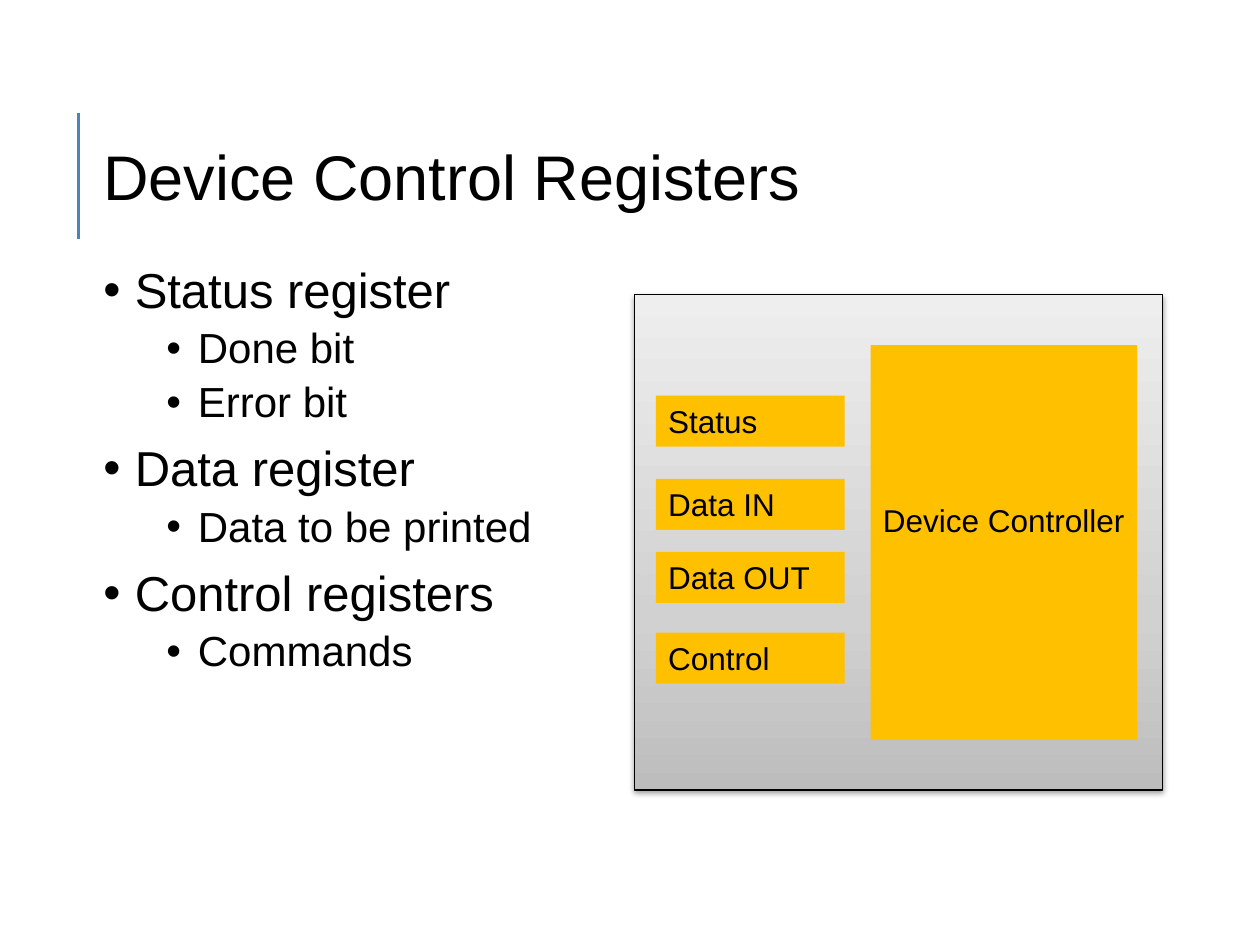
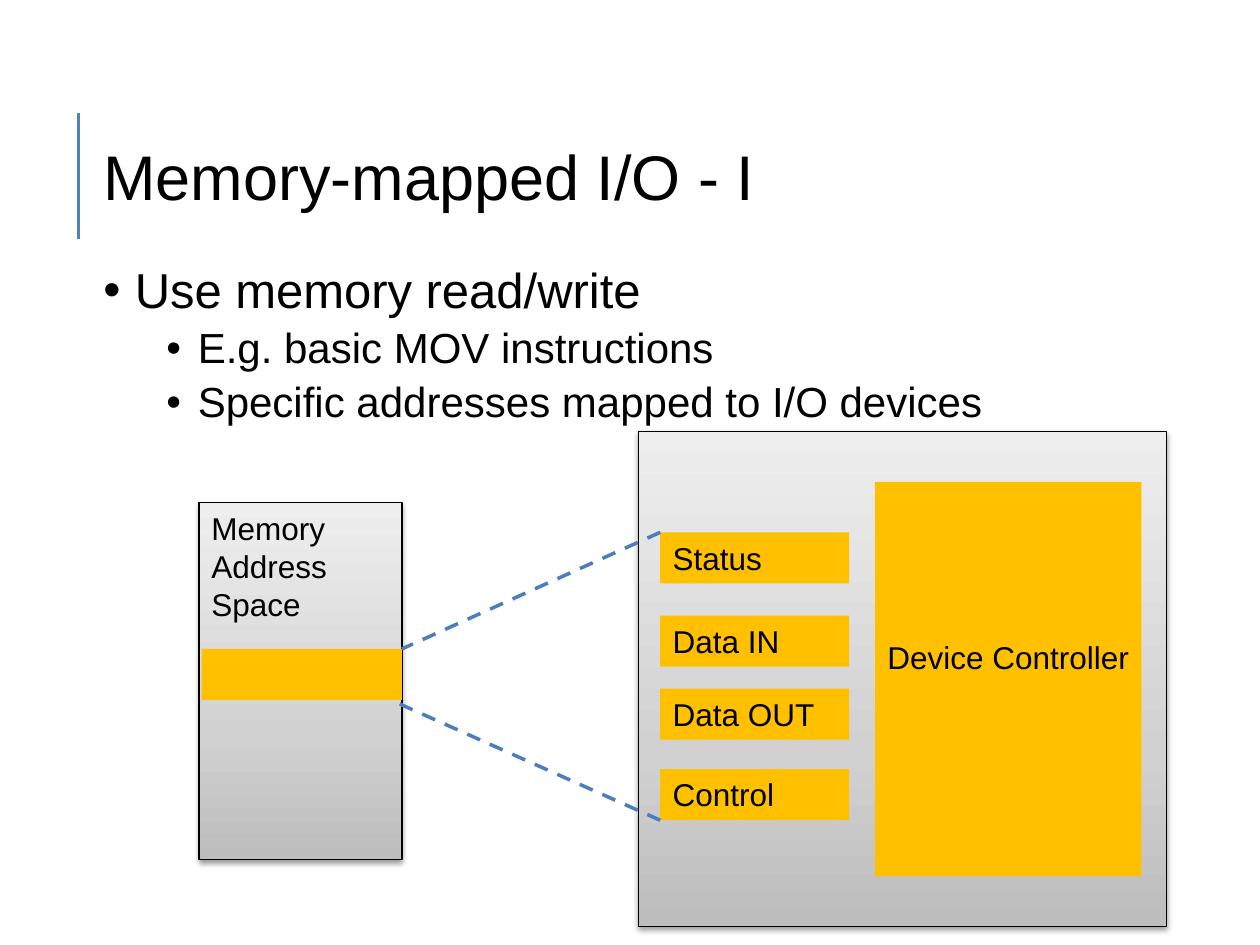
from copy import deepcopy

from lxml import etree
from pptx import Presentation
from pptx.dml.color import RGBColor
from pptx.enum.dml import MSO_LINE
from pptx.enum.shapes import MSO_CONNECTOR, MSO_SHAPE
from pptx.enum.text import MSO_ANCHOR, PP_ALIGN
from pptx.oxml.ns import qn
from pptx.util import Inches, Pt

RECT, STRAIGHT = MSO_SHAPE.RECTANGLE, MSO_CONNECTOR.STRAIGHT
TOP, MIDDLE, LEFT = MSO_ANCHOR.TOP, MSO_ANCHOR.MIDDLE, PP_ALIGN.LEFT
DASH = MSO_LINE.DASH
COLS, ROWS, CELL = 100, 75, 0.1
FONT, BLACK, ORANGE, RULE, LINK = "Arial", "000000", "FFC000", "4F81BD", "4B7EBC"
GREYS = [(0, "BDBDBD"), (0.35, "D1D1D1"), (1, "EEEEEE")]
LEVELS = [{"size": 28, "indent": 2.5, "before": 10},
          {"size": 24, "indent": 7.5, "before": 5}]
HANG = 2.5
TITLE = (8.2, 11.8, 91.8, 5)
REGISTERS = [("Status", 8), ("Data IN", 14.6), ("Data OUT", 20.4), ("Control", 26.8)]
REG_LEFT, REG_W, REG_H = 1.7, 15, 4.05
PANEL_W, PANEL_H = 41.9, 39.3


def color(value):
    """Turn a hex string into a colour."""
    return RGBColor.from_string(value)


def grid(*cells):
    """Turn grid cells into slide lengths."""
    return [Inches(c * CELL) for c in cells]


def set_frame(tf, anchor=TOP, margins=(1, 0.5, 1, 0.5)):
    """Set wrapping, anchor and margins of a text frame."""
    left, top, right, bottom = grid(*margins)
    values = {"word_wrap": True, "vertical_anchor": anchor, "margin_left": left,
              "margin_top": top, "margin_right": right, "margin_bottom": bottom}
    for name, value in values.items():
        setattr(tf, name, value)


def write(p, text, size):
    """Write one run in the deck's font."""
    p.alignment = LEFT
    r = p.add_run()
    r.text = text
    for name, value in {"name": FONT, "size": Pt(size)}.items():
        setattr(r.font, name, value)
    r.font.color.rgb = color(BLACK)


def add_line(slide, start, end, hex_color, width, dash=None):
    """Draw a straight line between two grid points."""
    line = slide.shapes.add_connector(STRAIGHT, *grid(*start, *end))
    line.line.color.rgb = color(hex_color)
    line.line.width = Pt(width)
    if dash:
        line.line.dash_style = dash
    etree.SubElement(line._element.spPr, qn("a:effectLst"))


def add_block(slide, box, text="", margins=(1, 0.5, 1, 0.5)):
    """Draw a flat orange block with an optional label."""
    sp = slide.shapes.add_shape(RECT, *grid(*box))
    sp.fill.solid()
    sp.fill.fore_color.rgb = color(ORANGE)
    sp.line.fill.background()
    sp.shadow.inherit = False
    if text:
        set_frame(sp.text_frame, margins=margins)
        write(sp.text_frame.paragraphs[0], text, 18)


def add_grey_box(slide, box, text=""):
    """Draw an outlined grey gradient box with a soft shadow."""
    sp = slide.shapes.add_shape(RECT, *grid(*box))
    sp.fill.gradient()
    sp.fill.gradient_angle = 90
    stops = next(sp._element.spPr.iter(qn("a:gsLst")))
    stops.append(deepcopy(stops[0]))
    for stop, (position, hex_color) in zip(sp.fill.gradient_stops, GREYS):
        stop.position = position
        stop.color.rgb = color(hex_color)
    sp.line.color.rgb = color(BLACK)
    sp.line.width = Pt(0.75)
    sp.shadow.inherit = False
    effects = sp._element.spPr.find(qn("a:effectLst"))
    shadow = etree.SubElement(effects, qn("a:outerShdw"), blurRad=str(Pt(3.1)),
                              dist=str(Pt(1.6)), dir="5400000", rotWithShape="0")
    tint = etree.SubElement(shadow, qn("a:srgbClr"), val=BLACK)
    etree.SubElement(tint, qn("a:alpha"), val="38000")
    if text:
        set_frame(sp.text_frame)
        write(sp.text_frame.paragraphs[0], text, 18)


def add_title(slide, text):
    """Place the title and the rule at its left."""
    add_line(slide, (6.23, 19), (6.23, 9), RULE, 1.5)
    tf = slide.shapes.add_textbox(*grid(*TITLE)).text_frame
    set_frame(tf, MIDDLE, (0, 0, 0, 0))
    write(tf.paragraphs[0], text, 36)
    tf.paragraphs[0].line_spacing = 0.9


def add_bullets(slide, box, items):
    """Place a two-level bullet list from (level, text) pairs."""
    tf = slide.shapes.add_textbox(*grid(*box)).text_frame
    set_frame(tf, margins=(0, 0, 0, 0))
    for i, (level, text) in enumerate(items):
        p = tf.add_paragraph() if i else tf.paragraphs[0]
        style = LEVELS[level]
        write(p, text, style["size"])
        for name, value in {"level": level, "line_spacing": 0.9,
                            "space_before": Pt(style["before"])}.items():
            setattr(p, name, value)
        indent, hang = grid(style["indent"], -HANG)
        pPr = p._p.get_or_add_pPr()
        pPr.set("marL", str(indent))
        pPr.set("indent", str(hang))
        etree.SubElement(pPr, qn("a:buFont"), typeface=FONT)
        etree.SubElement(pPr, qn("a:buChar"), char="•")


def add_device(slide, left, top):
    """Draw the device panel with its registers and controller."""
    add_grey_box(slide, (left, top, PANEL_W, PANEL_H))
    for text, row in REGISTERS:
        add_block(slide, (left + REG_LEFT, top + row, REG_W, REG_H), text)
    add_block(slide, (left + 18.75, top + 4, 21.15, 31.3), "Device Controller",
              (1, 12.4, 0, 0.5))


def add_memory(slide, box, device_left, device_top):
    """Draw the address space and the links from its mapped strip."""
    left, top, width, _ = box
    right, strip_top = left + width, top + 11.6
    reg_left = device_left + REG_LEFT
    first, last = REGISTERS[0][1], REGISTERS[-1][1]
    add_grey_box(slide, box, "Memory Address Space")
    add_line(slide, (reg_left, device_top + first), (right, strip_top), LINK, 2, DASH)
    add_line(slide, (reg_left, device_top + last + REG_H),
             (right - 0.9, strip_top + REG_H), LINK, 2, DASH)
    add_block(slide, (left + 0.2, strip_top, width - 0.2, REG_H))


def registers_slide(slide):
    """Build the slide on the device control registers."""
    add_title(slide, "Device Control Registers")
    add_bullets(slide, (8.2, 21.1, 42.2, 49.3), [
        (0, "Status register"), (1, "Done bit"), (1, "Error bit"),
        (0, "Data register"), (1, "Data to be printed"),
        (0, "Control registers"), (1, "Commands")])
    add_device(slide, 50.35, 23.4)


def memory_slide(slide):
    """Build the slide on memory-mapped access."""
    device = (50.7, 34.25)
    add_title(slide, "Memory-mapped I/O - I")
    add_bullets(slide, (8.2, 21.1, 84.4, 53.9), [
        (0, "Use memory read/write"), (1, "E.g. basic MOV instructions"),
        (1, "Specific addresses mapped to I/O devices")])
    add_device(slide, *device)
    add_memory(slide, (15.8, 39.9, 16.1, 28.3), *device)


def main():
    """Build and save the deck."""
    prs = Presentation()
    prs.slide_width, prs.slide_height = grid(COLS, ROWS)
    for build in (registers_slide, memory_slide):
        build(prs.slides.add_slide(prs.slide_layouts[6]))
    prs.save("out.pptx")


main()
